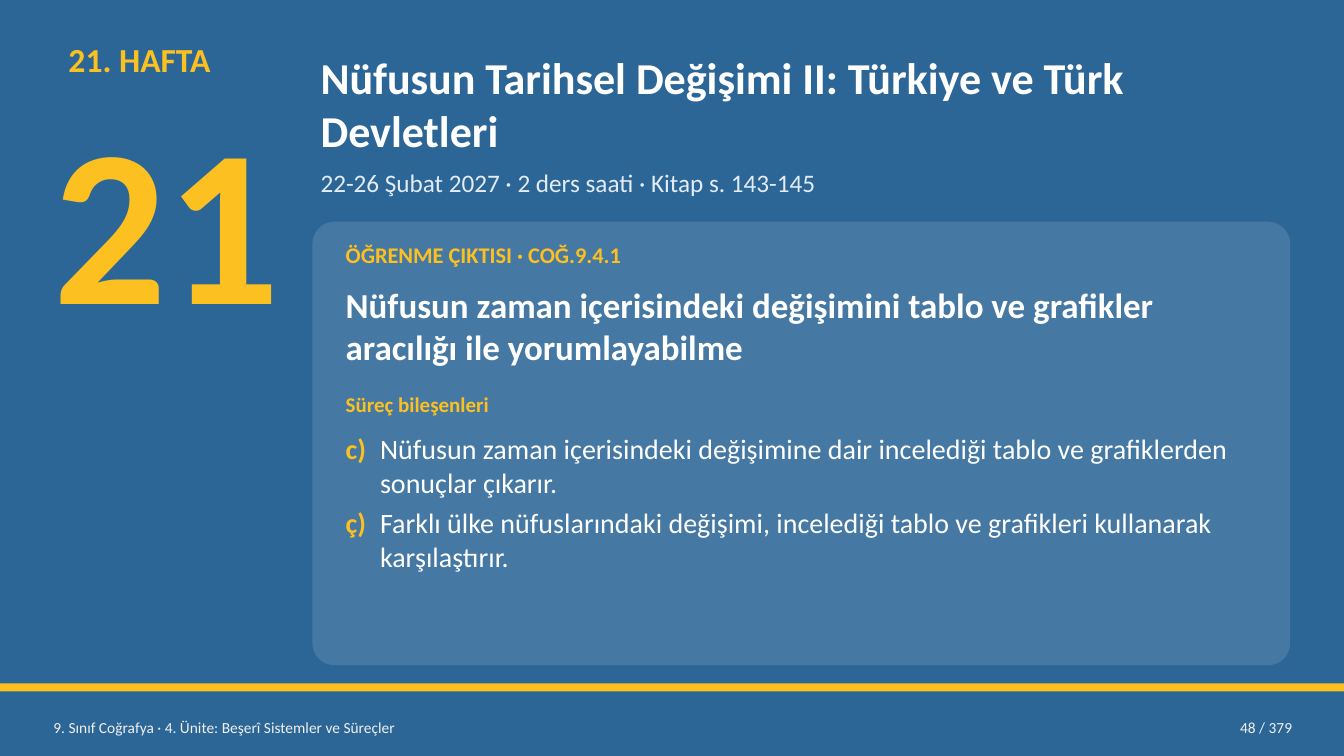
from dataclasses import dataclass

from lxml import etree
from pptx import Presentation
from pptx import util as u
from pptx.dml.color import RGBColor
from pptx.enum import shapes, text
from pptx.oxml.ns import qn

GRID = u.Inches(0.1)  # one column or row
COLS, ROWS = 133.33, 75
BLUE = RGBColor(0x2C, 0x66, 0x96)
GOLD = RGBColor(0xFC, 0xC0, 0x21)
WHITE = RGBColor(0xFF, 0xFF, 0xFF)
PALE = RGBColor(0xE3, 0xEC, 0xF5)
GREY = RGBColor(0xF0, 0xF0, 0xF0)
FONT = "Calibri"
SIDE_PAD, TOP_PAD = 0.8, 0.4
HANG = 3.4
LEFT, TOP, MIDDLE = text.PP_ALIGN.LEFT, text.MSO_ANCHOR.TOP, text.MSO_ANCHOR.MIDDLE


@dataclass(frozen=True)
class Area:
    col: float
    row: float
    cols: float
    rows: float

    def lengths(self) -> dict[str, int]:
        values = (self.col, self.row, self.cols, self.rows)
        return {name: grid(v) for name, v in zip(("left", "top", "width", "height"), values)}


@dataclass(frozen=True)
class Panel:
    area: Area
    color: RGBColor
    corner: float = 0
    opacity: int = 100


@dataclass(frozen=True)
class Label:
    area: Area
    wording: str
    size: float
    color: RGBColor
    bold: bool = False
    anchor: text.MSO_ANCHOR = TOP
    align: text.PP_ALIGN = LEFT
    top_pad: float = TOP_PAD


def grid(count: float) -> int:
    return round(count * GRID)


def apply(target, values: dict) -> None:
    for name, value in values.items():
        setattr(target, name, value)


def draw_panel(slide, panel: Panel) -> None:
    kind = shapes.MSO_SHAPE.ROUNDED_RECTANGLE if panel.corner else shapes.MSO_SHAPE.RECTANGLE
    block = slide.shapes.add_shape(kind, **panel.area.lengths())
    block.shadow.inherit = False
    block.line.fill.background()
    block.fill.solid()
    block.fill.fore_color.rgb = panel.color
    if panel.corner:
        block.adjustments[0] = panel.corner
    if panel.opacity < 100:
        tint = block.element.spPr.find(".//" + qn("a:srgbClr"))
        etree.SubElement(tint, qn("a:alpha"), val=str(panel.opacity * 1000))


def place(holder, area: Area, anchor=TOP, top_pad: float = TOP_PAD):
    """Bring a text holder to the front, set its frame and return that frame."""
    holder.element.getparent().append(holder.element)
    apply(holder, area.lengths())
    frame = holder.text_frame
    apply(frame, {
        "word_wrap": True,
        "auto_size": text.MSO_AUTO_SIZE.NONE,
        "vertical_anchor": anchor,
        "margin_left": grid(SIDE_PAD),
        "margin_right": grid(SIDE_PAD),
        "margin_top": grid(top_pad),
        "margin_bottom": grid(top_pad),
    })
    return frame


def add_run(paragraph, wording: str, size: float, color: RGBColor, bold: bool) -> None:
    run = paragraph.add_run()
    run.text = wording
    apply(run.font, {"name": FONT, "size": u.Pt(size), "bold": bold})
    run.font.color.rgb = color


def write_label(slide, label: Label, holder=None) -> None:
    holder = holder or slide.shapes.add_textbox(**label.area.lengths())
    paragraph = place(holder, label.area, label.anchor, label.top_pad).paragraphs[0]
    paragraph.alignment = label.align
    add_run(paragraph, label.wording, label.size, label.color, label.bold)


def write_steps(body, area: Area, steps: dict[str, str]) -> None:
    """Fill the body with lettered steps, each hanging behind its letter."""
    frame = place(body, area)
    for index, (letter, wording) in enumerate(steps.items()):
        paragraph = frame.add_paragraph() if index else frame.paragraphs[0]
        apply(paragraph, {"space_before": u.Pt(0), "space_after": u.Pt(5), "alignment": LEFT})
        props = paragraph._p.get_or_add_pPr()
        props.set("marL", str(grid(HANG)))
        props.set("indent", str(-grid(HANG)))
        etree.SubElement(props, qn("a:buNone"))
        stops = etree.SubElement(props, qn("a:tabLst"))
        etree.SubElement(stops, qn("a:tab"), pos=str(grid(HANG)), algn="l")
        add_run(paragraph, f"{letter})\t", 20, GOLD, True)
        add_run(paragraph, wording, 20, WHITE, False)


PANELS = (
    Panel(Area(0, 0, COLS, ROWS), BLUE),
    Panel(Area(0, 67.8, COLS, 0.8), GOLD),
    Panel(Area(31, 22, 97, 44), WHITE, corner=0.05, opacity=12),
)
TITLE = Label(Area(31, 4.5, 97, 11.5), "Nüfusun Tarihsel Değişimi II: Türkiye ve Türk Devletleri",
              31.5, WHITE, True, MIDDLE)
LABELS = (
    Label(Area(6, 3.5, 26, 5.5), "21. HAFTA", 24, GOLD, True),
    Label(Area(4.5, 8, 26, 27.5), "21", 160, GOLD, True, top_pad=0),
    Label(Area(31, 16.2, 97, 4.5), "22-26 Şubat 2027 · 2 ders saati · Kitap s. 143-145", 18, PALE),
    Label(Area(33.5, 23.5, 92, 4), "ÖĞRENME ÇIKTISI · COĞ.9.4.1", 16, GOLD, True),
    Label(Area(33.5, 27.7, 92, 9.5),
          "Nüfusun zaman içerisindeki değişimini tablo ve grafikler aracılığı ile yorumlayabilme",
          25, WHITE, True),
    Label(Area(33.5, 38.4, 92, 3.8), "Süreç bileşenleri", 15, GOLD, True),
    Label(Area(4.5, 70.4, 76, 3.6), "9. Sınıf Coğrafya · 4. Ünite: Beşerî Sistemler ve Süreçler",
          11, GREY, anchor=MIDDLE),
    Label(Area(113, 70.4, 16, 3.6), "48 / 379", 11, GREY, anchor=MIDDLE,
          align=text.PP_ALIGN.RIGHT),
)
STEPS_AREA = Area(33.5, 42.4, 92, 22.3)
STEPS = {
    "c": "Nüfusun zaman içerisindeki değişimine dair incelediği tablo ve grafiklerden "
         "sonuçlar çıkarır.",
    "ç": "Farklı ülke nüfuslarındaki değişimi, incelediği tablo ve grafikleri kullanarak "
         "karşılaştırır.",
}


def main() -> None:
    deck = Presentation()
    apply(deck, {"slide_width": grid(COLS), "slide_height": grid(ROWS)})
    slide = deck.slides.add_slide(deck.slide_layouts[1])
    title, body = slide.placeholders
    for panel in PANELS:
        draw_panel(slide, panel)
    write_label(slide, TITLE, title)
    for label in LABELS:
        write_label(slide, label)
    write_steps(body, STEPS_AREA, STEPS)
    deck.save("out.pptx")


if __name__ == "__main__":
    main()
